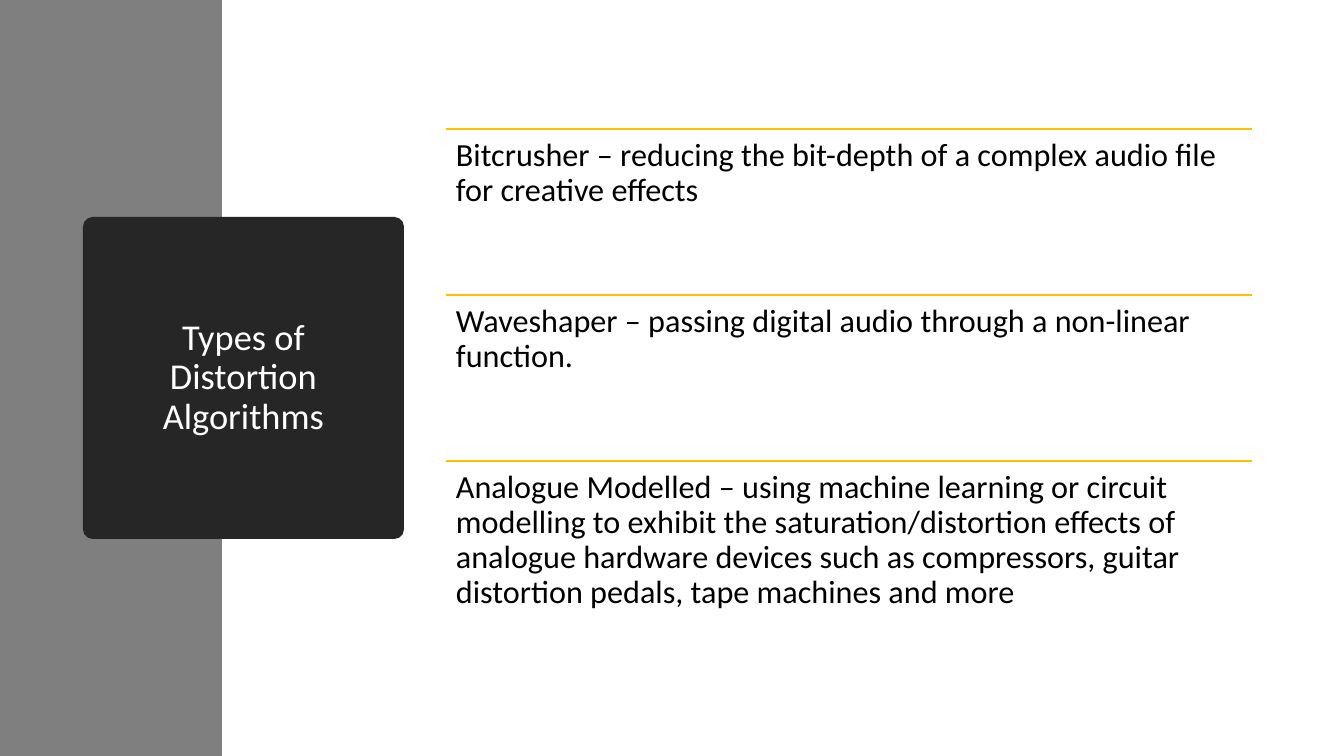
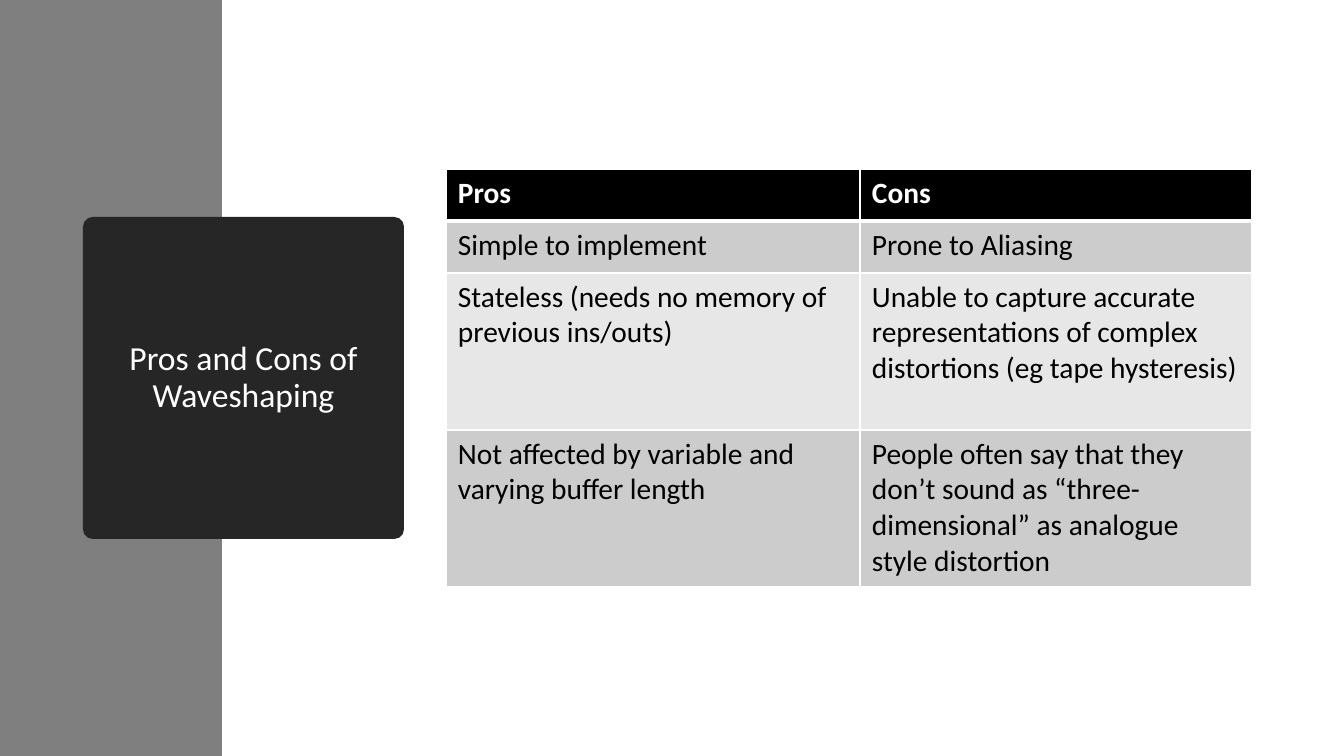
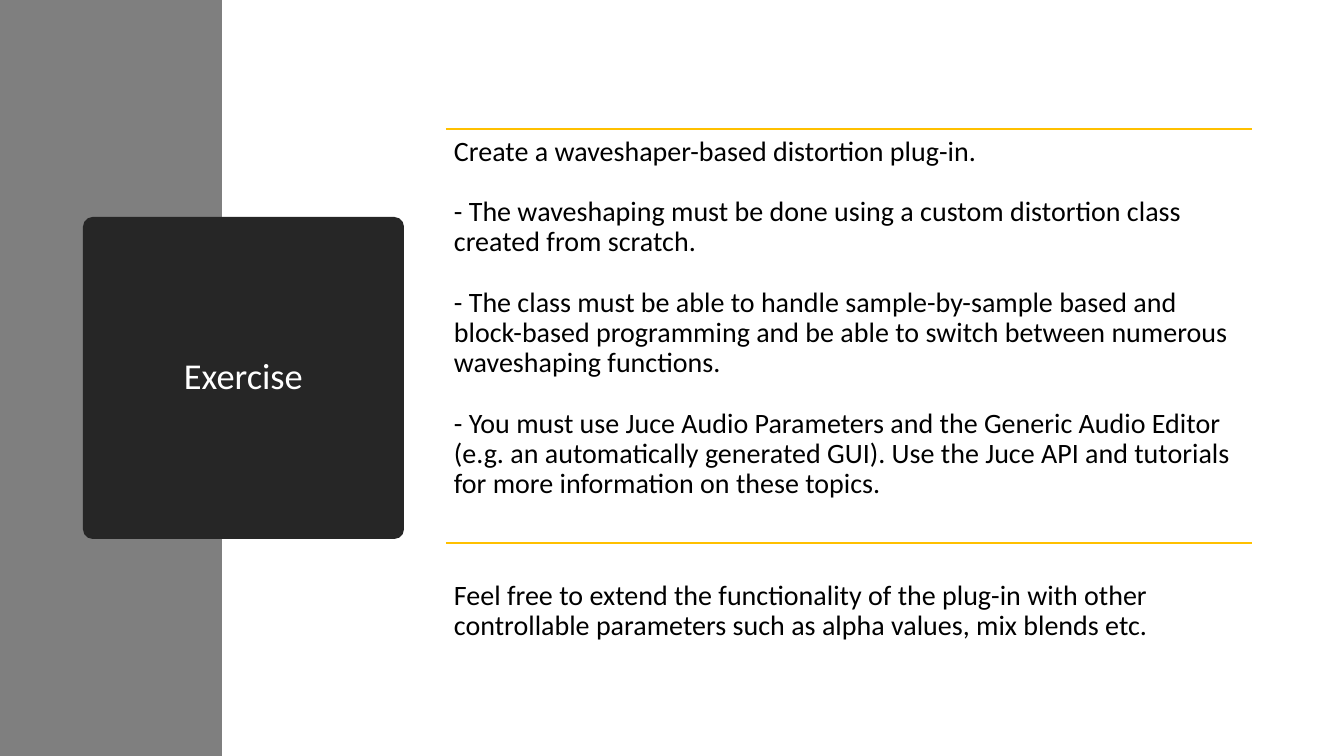
from lxml.etree import SubElement
from pptx import Presentation
from pptx.dml.color import RGBColor
from pptx.enum.shapes import MSO_CONNECTOR, MSO_SHAPE
from pptx.enum.text import MSO_ANCHOR, PP_ALIGN
from pptx.oxml.ns import qn
from pptx.util import Emu, Pt

# Shared look
EMU_PER_PX = 914400 / 100.8
SLIDE_W, SLIDE_H = 1344, 756
FONT = "Calibri"
WHITE, BLACK = "FFFFFF", "000000"
BAND, CARD, RULE = "7F7F7F", "262626", "FFC000"
ROW_FILLS = ["CCCCCC", "E7E7E7"]

# Content column beside the title card
LEFT, TOP, WIDTH = 446, 129, 806

TYPES = [
    "Bitcrusher – reducing the bit-depth of a complex audio file for creative effects",
    "Waveshaper – passing digital audio through a non-linear function.",
    "Analogue Modelled – using machine learning or circuit modelling to exhibit the "
    "saturation/distortion effects of analogue hardware devices such as compressors, "
    "guitar distortion pedals, tape machines and more",
]

PROS_AND_CONS = [
    ("Pros", "Cons"),
    ("Simple to implement", "Prone to Aliasing"),
    ("Stateless (needs no memory of previous ins/outs)",
     "Unable to capture accurate representations of complex distortions (eg tape hysteresis)"),
    ("Not affected by variable and varying buffer length",
     "People often say that they don’t sound as “three-dimensional” as analogue style distortion"),
]

TASKS = [
    "Create a waveshaper-based distortion plug-in.",
    "- The waveshaping must be done using a custom distortion class created from scratch.",
    "- The class must be able to handle sample-by-sample based and block-based programming "
    "and be able to switch between numerous waveshaping functions.",
    "- You must use Juce Audio Parameters and the Generic Audio Editor (e.g. an automatically "
    "generated GUI). Use the Juce API and tutorials for more information on these topics.",
]
EXTENSION = ("Feel free to extend the functionality of the plug-in with other controllable "
             "parameters such as alpha values, mix blends etc.")


def px(length):
    return Emu(round(length * EMU_PER_PX))


def color(hex_value):
    return RGBColor.from_string(hex_value)


def style(paragraph, size, hex_value, bold=False, spacing=None):
    paragraph.font.name = FONT
    paragraph.font.size = Pt(size)
    paragraph.font.bold = bold
    paragraph.font.color.rgb = color(hex_value)
    paragraph.line_spacing = spacing


def set_insets(frame, horizontal, vertical):
    frame.margin_left = frame.margin_right = px(horizontal)
    frame.margin_top = frame.margin_bottom = px(vertical)


def add_block(slide, kind, x, y, w, h, fill):
    block = slide.shapes.add_shape(kind, px(x), px(y), px(w), px(h))
    block.shadow.inherit = False
    block.fill.solid()
    block.fill.fore_color.rgb = color(fill)
    block.line.fill.background()
    return block


def add_titled_slide(deck, title, size=26):
    """Blank slide with the side band and the title card."""
    slide = deck.slides.add_slide(deck.slide_layouts[6])
    add_block(slide, MSO_SHAPE.RECTANGLE, 0, 0, 222, SLIDE_H, BAND)
    card = add_block(slide, MSO_SHAPE.ROUNDED_RECTANGLE, 83, 217, 321, 322, CARD)
    card.adjustments[0] = 0.03
    frame = card.text_frame
    frame.word_wrap = True
    frame.vertical_anchor = MSO_ANCHOR.MIDDLE
    set_insets(frame, 19, 10)
    heading = frame.paragraphs[0]
    heading.text = title
    heading.alignment = PP_ALIGN.CENTER
    style(heading, size, WHITE, spacing=0.9)
    return slide


def add_ruled_text(slide, y, height, texts, size, inset, drop=0):
    """Rule across the column, with paragraphs below it."""
    rule = slide.shapes.add_connector(
        MSO_CONNECTOR.STRAIGHT, px(LEFT), px(y), px(LEFT + WIDTH), px(y))
    rule.line.color.rgb = color(RULE)
    rule.line.width = Pt(1)
    SubElement(rule._element.spPr, qn("a:effectLst"))

    box = slide.shapes.add_textbox(px(LEFT), px(y + drop), px(WIDTH), px(height - drop))
    frame = box.text_frame
    frame.word_wrap = True
    set_insets(frame, inset, inset)
    for index, text in enumerate(texts):
        paragraph = frame.add_paragraph() if index else frame.paragraphs[0]
        paragraph.text = text
        style(paragraph, size, BLACK, spacing=0.9)
        if index:
            paragraph.space_before = Pt(21.6)


def add_borders(cell, widths):
    properties = cell._tc.get_or_add_tcPr()
    for side, width in widths.items():
        border = SubElement(properties, qn(f"a:ln{side}"), w=str(Pt(width)))
        fill = SubElement(border, qn("a:solidFill"))
        SubElement(fill, qn("a:srgbClr"), val=WHITE)


def add_comparison(slide, rows, y, column_widths, row_heights):
    table = slide.shapes.add_table(
        len(rows), len(column_widths), px(LEFT), px(y),
        px(sum(column_widths)), px(sum(row_heights))).table
    for column, width in zip(table.columns, column_widths):
        column.width = px(width)
    for r, (texts, height) in enumerate(zip(rows, row_heights)):
        table.rows[r].height = px(height)
        header = r == 0
        # The line under the header belongs to both rows it separates
        widths = {"L": 1, "R": 1, "T": 3 if r == 1 else 1, "B": 3 if header else 1}
        for c, text in enumerate(texts):
            cell = table.cell(r, c)
            add_borders(cell, widths)
            cell.fill.solid()
            cell.fill.fore_color.rgb = color(BLACK if header else ROW_FILLS[(r - 1) % 2])
            set_insets(cell, 12, 6)
            cell.text = text
            style(cell.text_frame.paragraphs[0], 21, WHITE if header else BLACK, bold=header)


def main():
    deck = Presentation()
    deck.slide_width, deck.slide_height = px(SLIDE_W), px(SLIDE_H)

    # Types of distortion
    types = add_titled_slide(deck, "Types of Distortion Algorithms")
    pitch = 166
    for index, text in enumerate(TYPES):
        add_ruled_text(types, TOP + index * pitch, pitch, [text], 23, 10)

    # Pros and cons
    comparison = add_titled_slide(deck, "Pros and Cons of Waveshaping", 24)
    add_comparison(comparison, PROS_AND_CONS, 169, [414, 392], [52, 52, 157, 157])

    # Exercise
    exercise = add_titled_slide(deck, "Exercise")
    tasks_height = 414
    add_ruled_text(exercise, TOP, tasks_height, TASKS, 20, 8)
    add_ruled_text(exercise, TOP + tasks_height, 147, [EXTENSION], 20, 8, drop=30)

    deck.save("out.pptx")


if __name__ == "__main__":
    main()
